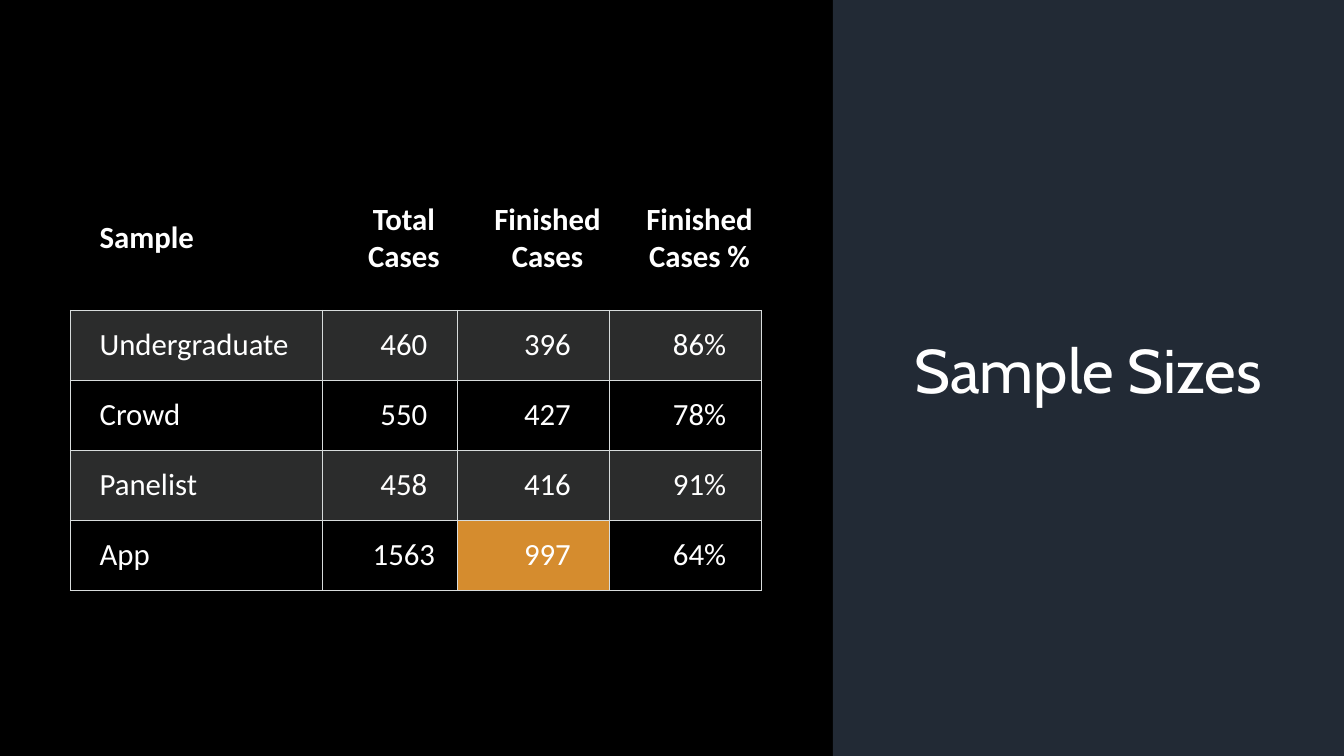
from dataclasses import dataclass
from lxml.etree import SubElement as Sub, Element as Elem
from pptx import Presentation
from pptx.dml.color import RGBColor as RGB
from pptx.enum.shapes import MSO_SHAPE as Shape
from pptx.enum.text import MSO_ANCHOR as Anchor, PP_ALIGN as Align
from pptx.oxml.ns import qn
from pptx.util import Pt


@dataclass(frozen=True)
class Theme:
    back: str = "000000"
    panel: str = "222A35"
    text: str = "FFFFFF"
    band: str = "D8DEDC"
    rule: str = "D8DCDC"
    mark: str = "D58C2E"
    head: str = "Cabin"
    body: str = "Calibri"
    large: int = 44
    small: int = 22
    line: float = 0.75
    alpha: int = 20


def apply(item, style):
    for key, value in style.items():
        setattr(item, key, value)


class Deck:
    def __init__(self, theme, width, height):
        self.theme = theme
        self.show = Presentation()
        apply(self.show, {"slide_width": Pt(width), "slide_height": Pt(height)})
        self.slide = self.show.slides.add_slide(self.show.slide_layouts[6])
        self.paint(self.slide.background.fill, theme.back)

    def paint(self, fill, color):
        fill.solid()
        fill.fore_color.rgb = RGB.from_string(color)

    def label(self, frame, text, font, size, bold=False, align=Align.LEFT, lead=1.0):
        frame.word_wrap = True
        par = frame.paragraphs[0]
        apply(par, {"alignment": align, "line_spacing": lead})
        run = par.add_run()
        run.text = text
        apply(run.font, {"name": font, "size": Pt(size), "bold": bold})
        run.font.color.rgb = RGB.from_string(self.theme.text)

    def panel(self, *box):
        shape = self.slide.shapes.add_shape(Shape.RECTANGLE, *map(Pt, box))
        shape.shadow.inherit = False
        shape.line.fill.background()
        self.paint(shape.fill, self.theme.panel)

    def title(self, text, *box):
        frame = self.slide.shapes.add_textbox(*map(Pt, box)).text_frame
        frame.vertical_anchor = Anchor.MIDDLE
        self.label(frame, text, self.theme.head, self.theme.large, lead=0.9)

    def edge(self, cell, sides):
        props = cell._tc.get_or_add_tcPr()
        for spot, side in enumerate("LRTB"):
            line = Elem(qn(f"a:ln{side}"), w=str(Pt(self.theme.line)))
            if side in sides:
                fill = Sub(line, qn("a:solidFill"))
                Sub(fill, qn("a:srgbClr"), val=self.theme.rule)
            else:
                Sub(line, qn("a:noFill"))
            props.insert(spot, line)

    def shade(self, cell, row, mark):
        if mark:
            self.paint(cell.fill, self.theme.mark)
        elif row % 2:
            self.paint(cell.fill, self.theme.band)
            color = next(cell._tc.get_or_add_tcPr().iter(qn("a:srgbClr")))
            Sub(color, qn("a:alpha"), val=str(self.theme.alpha * 1000))
        else:
            cell.fill.background()

    def table(self, data, left, top, widths, heights, mark):
        frame = self.slide.shapes.add_table(
            len(data), len(widths), Pt(left), Pt(top), Pt(sum(widths)), Pt(sum(heights)))
        grid = frame.table
        apply(grid, {"first_row": False, "horz_banding": False})
        for col, width in zip(grid.columns, widths):
            col.width = Pt(width)
        for row, height in zip(grid.rows, heights):
            row.height = Pt(height)
        style = {"margin_left": Pt(21), "margin_right": Pt(1), "margin_top": Pt(10),
                 "margin_bottom": Pt(10), "vertical_anchor": Anchor.MIDDLE}
        for row, line in enumerate(data):
            for col, text in enumerate(line):
                cell = grid.cell(row, col)
                apply(cell, style)
                self.label(cell.text_frame, text, self.theme.body, self.theme.small,
                           bold=row == 0, align=Align.CENTER if col else Align.LEFT)
                self.shade(cell, row, (row, col) == mark)
                self.edge(cell, "LRTB" if row else "B")


def main():
    deck = Deck(Theme(), 960, 540)
    deck.panel(595, 0, 365, 540)
    deck.title("Sample Sizes", 646, 50, 289, 434)
    data = [
        ("Sample", "Total Cases", "Finished Cases", "Finished Cases %"),
        ("Undergraduate", "460", "396", "86%"),
        ("Crowd", "550", "427", "78%"),
        ("Panelist", "458", "416", "91%"),
        ("App", "1563", "997", "64%"),
    ]
    deck.table(data, 50.2, 118.8, [180, 96.6, 108.6, 108.6], [102.8] + [50] * 4, (4, 2))
    deck.show.save("out.pptx")


if __name__ == "__main__":
    main()
